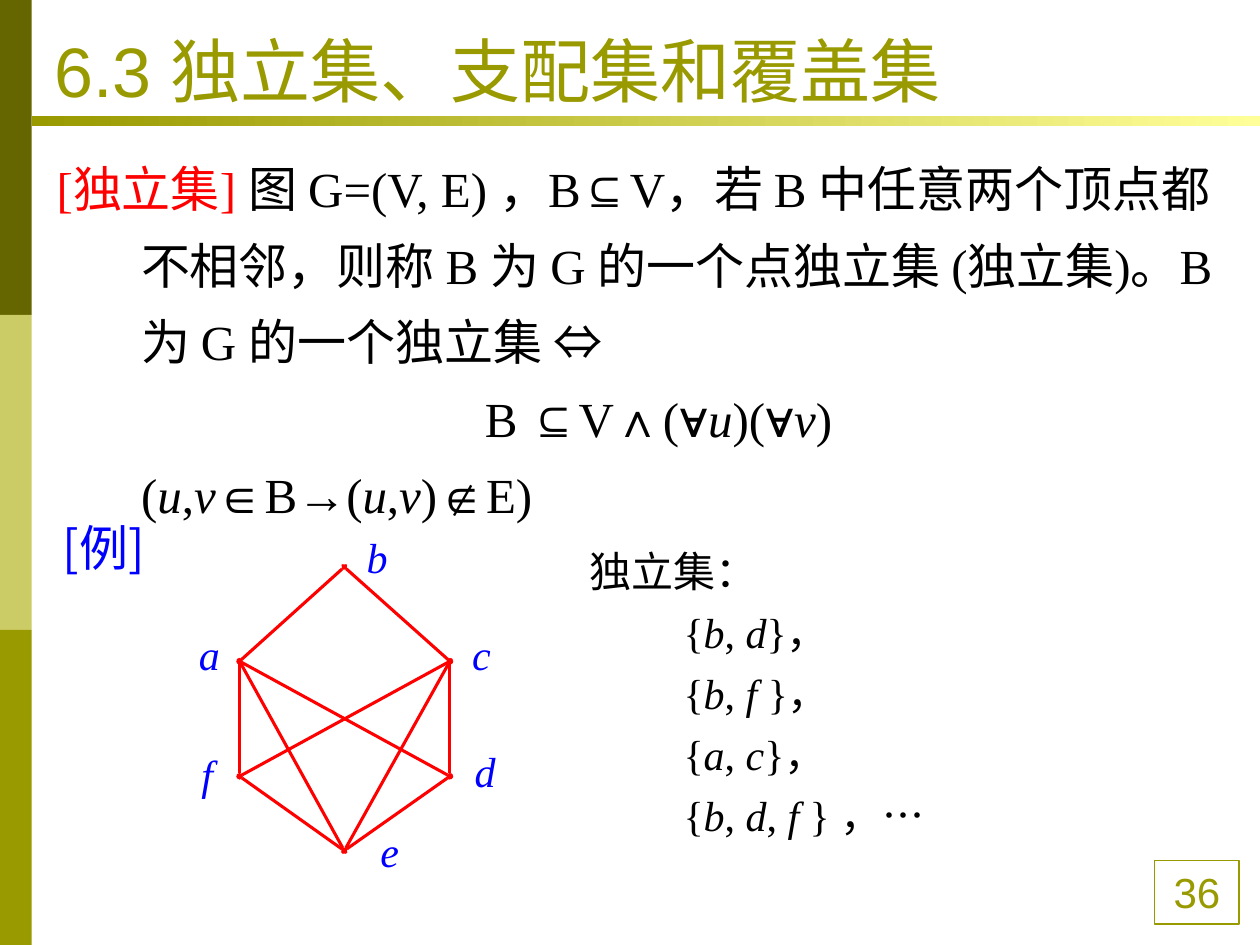
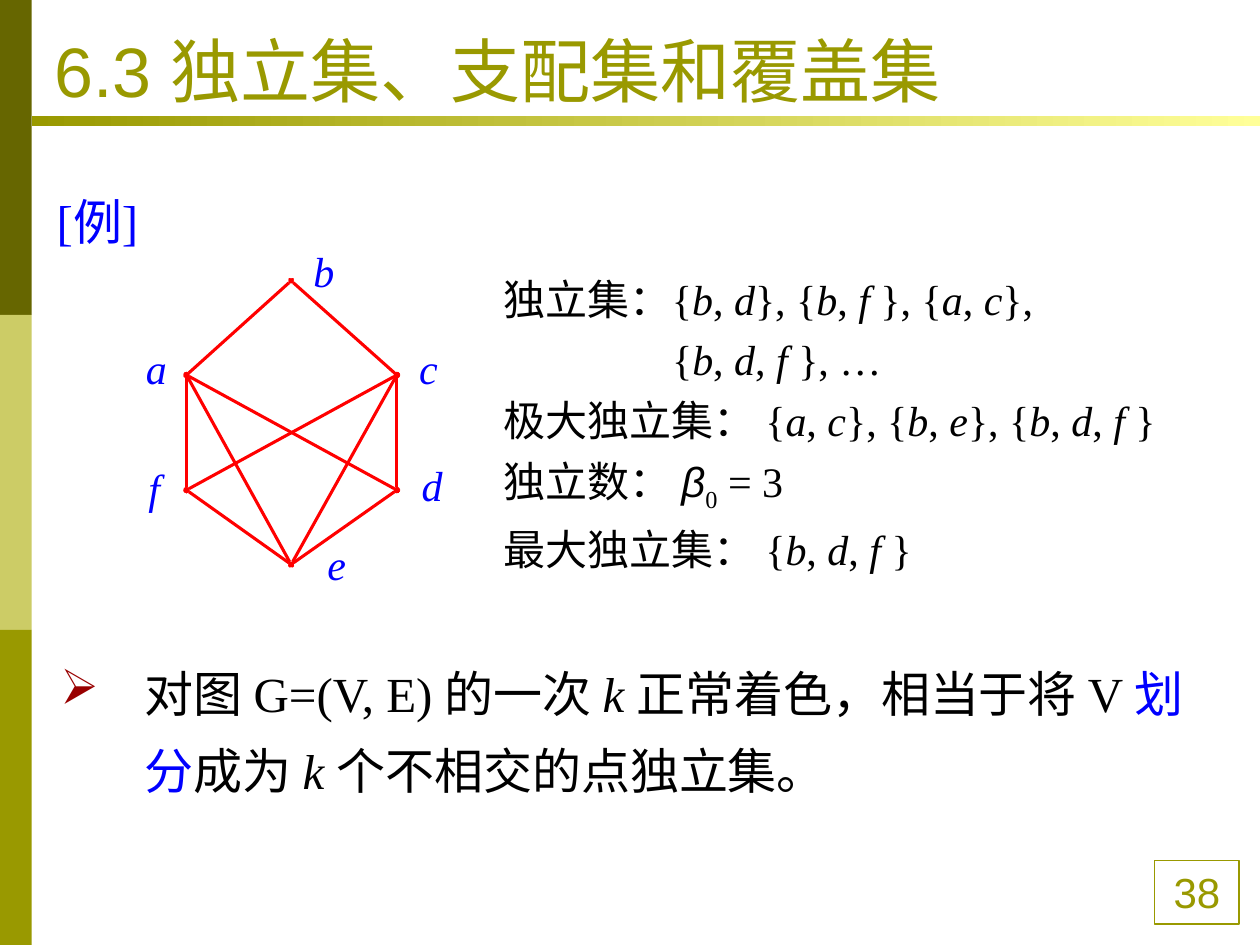
from itertools import groupby

from lxml import etree
from pptx import Presentation
from pptx import util as u
from pptx.dml.color import RGBColor
from pptx.enum import shapes, text
from pptx.oxml import ns

# ---- Content -------------------------------------------------------------
BLACK, RED, BLUE, OLIVE, MAROON = "000000", "FF0000", "0000FF", "999900", "990000"
SERIF, SANS, CJK = "Times New Roman", "Arial", "Noto Sans CJK SC"
HEADING = "6.3 独立集、支配集和覆盖集"
SIDE_BANDS = ["666600", "CCCC66", OLIVE]
SYMBOLS = "⊆⇔∧∀∈→∉β"
SUBSCRIPTS = {"₀": "0"}

# Vertex: (x, y) in the graph, then its label's offset from the vertex
VERTICES = {
    "a": (0, 1.9, -1.07, -0.79),
    "b": (2.11, 0, 0.2, -0.84),
    "c": (4.24, 1.9, 0.2, -0.79),
    "d": (4.24, 4.22, 0.25, -0.74),
    "e": (2.11, 5.72, 0.48, -0.64),
    "f": (0, 4.22, -1.02, -0.69),
}
EDGES = ["ba", "bc", "af", "de", "fe", "fc", "da", "ea", "ec", "cd"]

# Text styles: indents in cm, sizes and gaps in points
STATEMENT = dict(size=28, spacing=1.3, left=1.7, first=-1.7)
SETS = dict(size=24, gap=6)

# A paragraph is a list of (text, colour) pieces, with an optional style change
DEFINITION = [
    ([("[独立集] ", RED),
      ("图 G=(V, E) ，B⊆V，若 B 中任意两个顶点都不相邻，"
       "则称 B 为 G 的一个点独立集 (独立集)。B 为 G 的一个独立集 ⇔", BLACK)], {}),
    ([("B ⊆V∧(∀u)(∀v)(u,v∈B→(u,v)∉E)", BLACK)], dict(first=6.93)),
]
EXAMPLE = [([("[例]", BLUE)], {})]
COLORING = [([("对图 G=(V, E) 的一次 k 正常着色，相当于将 V ", BLACK), ("划分", BLUE),
              ("成为 k 个不相交的点独立集。", BLACK)], dict(bullet="➢"))]
INDEPENDENT_SETS = [([("独立集：", BLACK)], {})] + [
    ([(line, BLACK)], dict(left=1.9))
    for line in ("{b, d}，", "{b, f }，", "{a, c}，", "{b, d, f } ，…")
]
SET_KINDS = [
    ([("独立集：{b, d}, {b, f }, {a, c},", BLACK)], {}),
    ([("{b, d, f }, …", BLACK)], dict(left=3.39)),
    ([("极大独立集： {a, c}, {b, e}, {b, d, f }", BLACK)], {}),
    ([("独立数： β₀ = 3", BLACK)], {}),
    ([("最大独立集： {b, d, f }", BLACK)], {}),
]

# Boxes are left, top, width, height in cm
SLIDES = [
    dict(page="36", body=(DEFINITION, (0.89, 2.72, 23.88, 6.43)), graph=(4.83, 11.43),
         boxes=[(EXAMPLE, (1.02, 9.96, 2.9, 3.35), dict(STATEMENT, face=CJK)),
                (INDEPENDENT_SETS, (11.63, 10.87, 12.9, 6.2), SETS)]),
    dict(page="38", body=(EXAMPLE, (0.89, 3.38, 2.69, 1.8)), graph=(3.76, 5.66),
         boxes=[(COLORING, (0.97, 12.9, 23.8, 3.35), STATEMENT),
                (SET_KINDS, (9.91, 5.38, 13.79, 7.34), SETS)]),
]


# ---- Text ----------------------------------------------------------------
def rgb(value):
    return RGBColor.from_string(value)


def cm(values):
    return [u.Cm(v) for v in values]


def char_style(char):
    """Lowercase letters are variables; symbols use the sans face."""
    return char.islower(), char in SYMBOLS, char in SUBSCRIPTS


def set_bullet(props, bullet):
    if not bullet:
        etree.SubElement(props, ns.qn("a:buNone"))
        return
    colour = etree.SubElement(props, ns.qn("a:buClr"))
    etree.SubElement(colour, ns.qn("a:srgbClr"), val=MAROON)
    etree.SubElement(props, ns.qn("a:buChar"), char=bullet)


def set_font(font, face, size, colour):
    font.name, font.size = face, u.Pt(size)
    font.color.rgb = rgb(colour)
    latin = font._element.find(ns.qn("a:latin"))
    latin.addnext(etree.Element(ns.qn("a:ea"), typeface=CJK))


def add_pieces(paragraph, pieces):
    for piece, colour in pieces:
        for (variable, symbol, low), chars in groupby(piece, char_style):
            run = paragraph.add_run()
            run.text = "".join(SUBSCRIPTS.get(c, c) for c in chars)
            if colour != pieces[0][1]:
                run.font.color.rgb = rgb(colour)
            if variable:
                run.font.italic = True
            if symbol:
                run.font.name = SANS
            if low:
                run.font._element.set("baseline", "-25000")


def write(frame, paragraphs, size, face=SERIF, spacing=1.0, gap=0, left=0, first=0,
          align=text.PP_ALIGN.LEFT, anchor=text.MSO_ANCHOR.TOP):
    frame.word_wrap = True
    frame.auto_size = text.MSO_AUTO_SIZE.NONE
    frame.vertical_anchor = anchor
    for number, (pieces, change) in enumerate(paragraphs):
        paragraph = frame.add_paragraph() if number else frame.paragraphs[0]
        props = paragraph._p.get_or_add_pPr()
        props.set("marL", str(u.Cm(change.get("left", left))))
        props.set("indent", str(u.Cm(change.get("first", first))))
        set_bullet(props, change.get("bullet"))
        paragraph.alignment = align
        paragraph.line_spacing = spacing
        paragraph.space_before = u.Pt(gap if number else 0)
        set_font(paragraph.font, face, size, pieces[0][1])
        add_pieces(paragraph, pieces)


def place(shape, box):
    shape.left, shape.top, shape.width, shape.height = cm(box)


# ---- Slide parts ---------------------------------------------------------
def add_block(slide, box):
    block = slide.shapes.add_shape(shapes.MSO_SHAPE.RECTANGLE, *cm(box))
    block.shadow.inherit = False
    block.line.fill.background()
    return block


def add_frame(slide, page):
    for row, colour in enumerate(SIDE_BANDS):
        band = add_block(slide, (0, row * 6.35, 0.64, 6.35))
        band.fill.solid()
        band.fill.fore_color.rgb = rgb(colour)

    rule = add_block(slide, (0.64, 2.33, 24.76, 0.22))
    rule.fill.gradient()
    rule.fill.gradient_angle = 0
    for stop, colour in zip(rule.fill.gradient_stops, (OLIVE, "FFFF99")):
        stop.color.rgb = rgb(colour)

    page_box = add_block(slide, (23.28, 17.35, 1.7, 1.28))
    page_box.fill.background()
    page_box.line.color.rgb = rgb(OLIVE)
    page_box.line.width = u.Pt(0.75)
    write(page_box.text_frame, [([(page, OLIVE)], {})], 24, SANS,
          align=text.PP_ALIGN.CENTER)


def add_edge(graph, start, end):
    edge = graph.shapes.add_connector(shapes.MSO_CONNECTOR.STRAIGHT, *cm(start + end))
    edge.line.color.rgb = rgb(RED)
    edge.line.width = u.Pt(1.75)
    line = edge.line._get_or_add_ln()
    for tip in ("a:headEnd", "a:tailEnd"):
        etree.SubElement(line, ns.qn(tip), type="diamond", w="sm", len="sm")
    etree.SubElement(edge._element.spPr, ns.qn("a:effectLst"))


def add_graph(slide, origin):
    graph = slide.shapes.add_group_shape()
    points = {name: (origin[0] + x, origin[1] + y)
              for name, (x, y, *_) in VERTICES.items()}
    for start, end in EDGES:
        add_edge(graph, points[start], points[end])
    for name, (*_, dx, dy) in VERTICES.items():
        x, y = points[name]
        label = graph.shapes.add_textbox(*cm((x + dx, y + dy, 1.47, 1.27)))
        write(label.text_frame, [([(name, BLUE)], {})], 24)


def main():
    deck = Presentation()
    deck.slide_width, deck.slide_height = cm((25.4, 19.05))
    for content in SLIDES:
        slide = deck.slides.add_slide(deck.slide_layouts[1])
        title, body = slide.placeholders
        add_frame(slide, content["page"])

        place(title, (0.84, 0.2, 22.86, 2.18))
        write(title.text_frame, [([(HEADING, OLIVE)], {})], 40, SANS,
              anchor=text.MSO_ANCHOR.BOTTOM)

        statement, box = content["body"]
        place(body, box)
        write(body.text_frame, statement, **STATEMENT)

        for paragraphs, box, style in content["boxes"]:
            write(slide.shapes.add_textbox(*cm(box)).text_frame, paragraphs, **style)
        add_graph(slide, content["graph"])
    deck.save("out.pptx")


if __name__ == "__main__":
    main()
